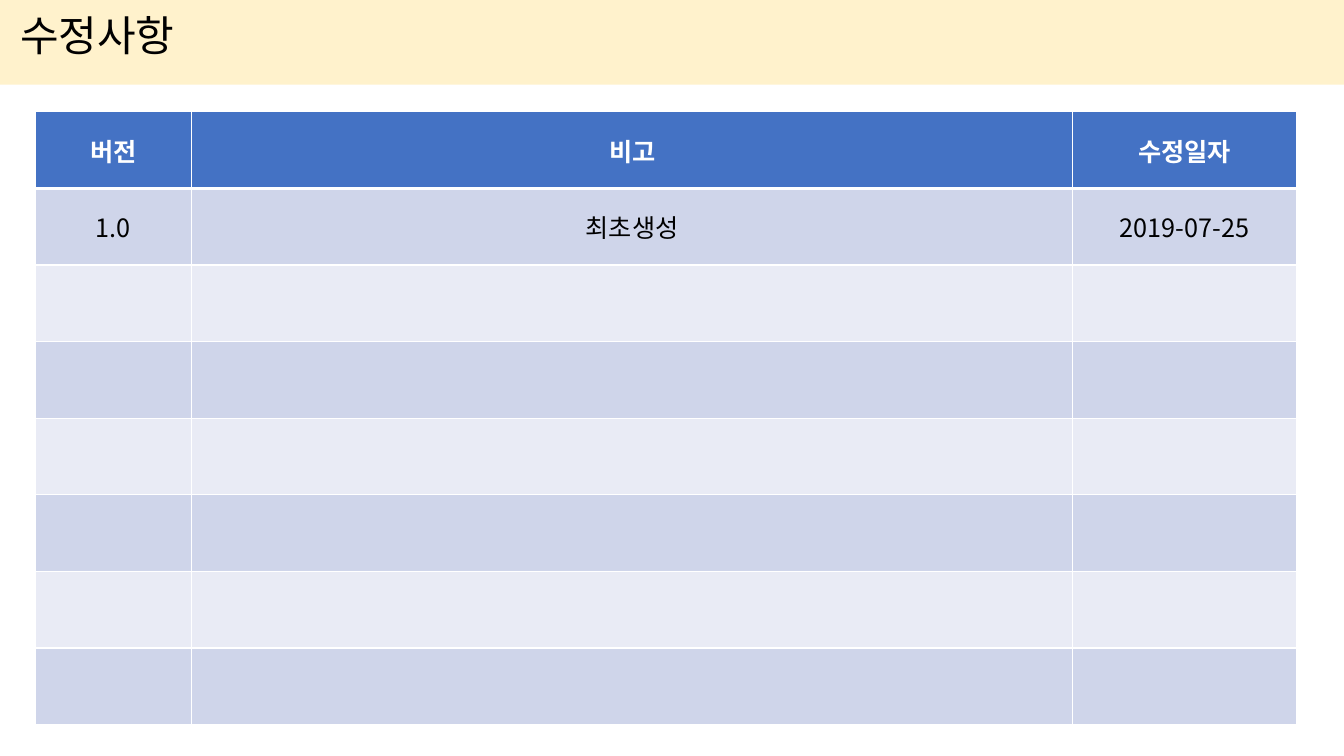
from pptx import Presentation
from pptx.dml.color import RGBColor as RGB
from pptx.enum.shapes import MSO_SHAPE as Shape
from pptx.enum.text import MSO_ANCHOR as Anchor, MSO_AUTO_SIZE as Fit, PP_ALIGN as Align
from pptx.oxml.ns import qn
from pptx.util import Inches, Pt
from lxml.etree import SubElement as Sub

FONT = "Noto Sans CJK KR"
WHITE, BLACK = "FFFFFF", "000000"
CREAM, BLUE = "FFF2CC", "4472C4"
BANDS = ["CFD5EA", "E9EBF5"]


def color(code):
    """Turn a hex string into a colour."""
    return RGB.from_string(code)


def write(frame, text, size=18, ink=BLACK, bold=False, align=Align.LEFT, space=1.0):
    """Put formatted text in the first paragraph of a frame."""
    para = frame.paragraphs[0]
    para.alignment, para.line_spacing = align, space
    run = para.add_run()
    run.text = text
    font = run.font
    font.size, font.bold, font.name = Pt(size), bold, FONT
    font.color.rgb = color(ink)
    Sub(run._r.get_or_add_rPr(), qn("a:ea"), typeface=FONT)


def edge(cell, side, width):
    """Draw one white border of a cell; sides must come in L, R, T, B order."""
    line = Sub(cell._tc.get_or_add_tcPr(), qn(f"a:ln{side}"), w=str(Pt(width)))
    fill = Sub(line, qn("a:solidFill"))
    Sub(fill, qn("a:srgbClr"), val=WHITE)


class Page:
    """The current slide and the elements it can hold."""

    def __init__(self, deck):
        """Add a blank slide to the deck."""
        self.shapes = deck.slides.add_slide(deck.slide_layouts[6]).shapes

    def band(self, x, y, w, h, fill):
        """Add a plain filled rectangle."""
        box = self.shapes.add_shape(Shape.RECTANGLE, Inches(x), Inches(y), Inches(w), Inches(h))
        box.shadow.inherit = False
        box.fill.solid()
        box.fill.fore_color.rgb = color(fill)
        box.line.fill.background()

    def text(self, x, y, w, h, words, **style):
        """Add a wrapping text box."""
        frame = self.shapes.add_textbox(Inches(x), Inches(y), Inches(w), Inches(h)).text_frame
        frame.word_wrap = True
        frame.auto_size = Fit.SHAPE_TO_FIT_TEXT
        write(frame, words, **style)

    def table(self, x, y, widths, height, count, data):
        """Add a banded table with a header and blank rows up to count."""
        grid = self.shapes.add_table(count, len(widths), Inches(x), Inches(y),
                                     Inches(sum(widths)), Inches(height * count)).table
        for col, width in zip(grid.columns, widths):
            col.width = Inches(width)
        for r, row in enumerate(grid.rows):
            row.height = Inches(height)
            head = r == 0
            for c, cell in enumerate(row.cells):
                cell.vertical_anchor = Anchor.MIDDLE
                for side, width in zip("LRTB", (1, 1, 3 if r == 1 else 1, 3 if head else 1)):
                    edge(cell, side, width)
                cell.fill.solid()
                cell.fill.fore_color.rgb = color(BLUE if head else BANDS[(r - 1) % 2])
                if r < len(data):
                    write(cell.text_frame, data[r][c], bold=head,
                          ink=WHITE if head else BLACK, align=Align.CENTER)


deck = Presentation()
deck.slide_width, deck.slide_height = Inches(13.33), Inches(7.5)
page = Page(deck)
page.band(0, 0, 13.33, 0.84, CREAM)
page.text(0.1, 0.1, 13.05, 0.61, "수정사항", size=30, space=0.9)
log = [["버전", "비고", "수정일자"], ["1.0", "최초생성", "2019-07-25"]]
page.table(0.35, 1.11, [1.55, 8.74, 2.22], 0.76, 8, log)
deck.save("out.pptx")
